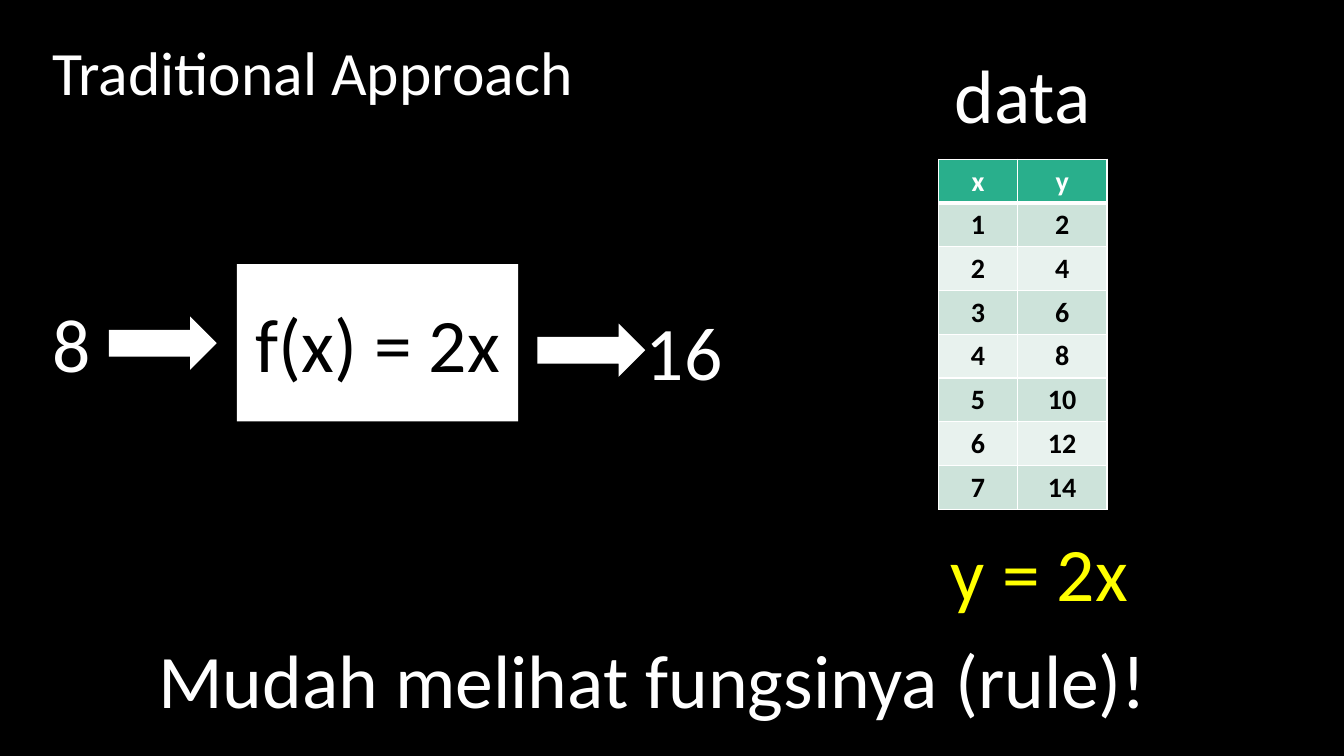
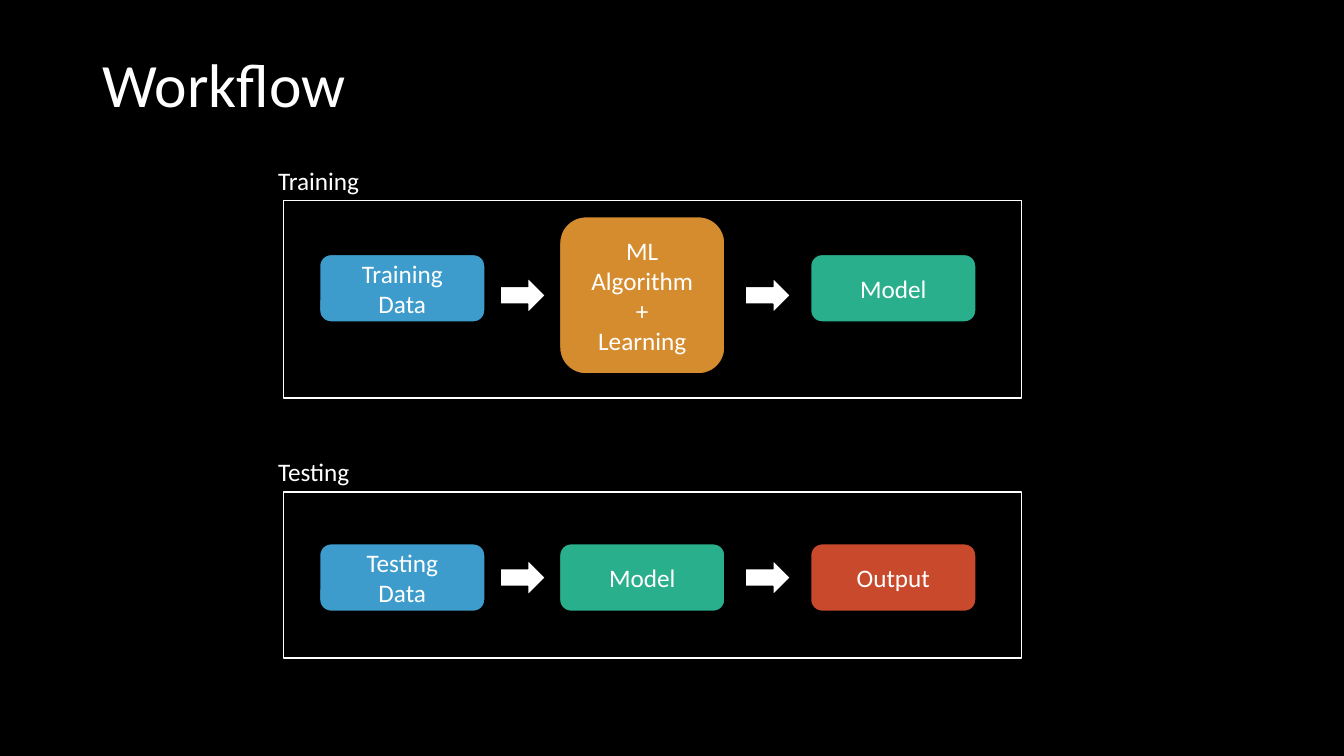
from dataclasses import dataclass

from lxml.etree import SubElement
from pptx import Presentation
from pptx.dml.color import RGBColor
from pptx.enum.shapes import MSO_SHAPE as Preset
from pptx.enum.text import MSO_ANCHOR as Anchor, PP_ALIGN as Align
from pptx.oxml.ns import qn
from pptx.util import Inches, Pt


@dataclass(frozen=True)
class Theme:
    font: str = "Calibri"
    background: str = "000000"
    ink: str = "FFFFFF"
    dark: str = "000000"
    highlight: str = "FFFF00"
    blue: str = "3D9CCC"
    orange: str = "D58C2E"
    green: str = "29AF8C"
    red: str = "C9492C"
    bands: tuple = ("CDE3DA", "E8F2EE")
    title_size: int = 44
    display_size: int = 54
    table_size: int = 20
    body_size: int = 18


@dataclass(frozen=True)
class Node:
    text: str
    colour: str
    middle: float  # distance from the top of the frame
    height: float = 0.67


THEME = Theme()


def rgb(colour):
    return RGBColor.from_string(colour)


# Shared parts
def write(text_frame, text, size, colour=THEME.ink, align=Align.CENTER, bold=False):
    text_frame.text = text
    for paragraph in text_frame.paragraphs:
        paragraph.alignment = align
        for run in paragraph.runs:
            run.font.name = THEME.font
            run.font.size = Pt(size)
            run.font.bold = bold
            run.font.color.rgb = rgb(colour)


def add_text(slide, box, text, size, colour=THEME.ink, align=Align.CENTER, wrap=False):
    text_frame = slide.shapes.add_textbox(*map(Inches, box)).text_frame
    text_frame.word_wrap = wrap
    write(text_frame, text, size, colour, align)
    return text_frame


def add_block(slide, preset, box, fill=None, line=None):
    shape = slide.shapes.add_shape(preset, *map(Inches, box))
    shape.shadow.inherit = False
    if fill:
        shape.fill.solid()
        shape.fill.fore_color.rgb = rgb(fill)
    else:
        shape.fill.background()
    if line:
        shape.line.color.rgb = rgb(line)
        shape.line.width = Pt(1)
    else:
        shape.line.fill.background()
    return shape


def add_slide(presentation, title, title_box):
    slide = presentation.slides.add_slide(presentation.slide_layouts[6])
    slide.background.fill.solid()
    slide.background.fill.fore_color.rgb = rgb(THEME.background)
    text_frame = add_text(slide, title_box, title, THEME.title_size,
                          align=Align.LEFT, wrap=True)
    text_frame.vertical_anchor = Anchor.MIDDLE
    text_frame.paragraphs[0].line_spacing = 0.9
    return slide


# Traditional approach: function machine and data table
def add_function_machine(slide, left, top):
    rule = add_block(slide, Preset.RECTANGLE, (left + 1.93, top, 2.79, 1.56), THEME.ink)
    rule.text_frame.word_wrap = False
    rule.text_frame.vertical_anchor = Anchor.MIDDLE
    write(rule.text_frame, "f(x) = 2x", THEME.display_size, THEME.dark)
    for text, x, y, width in (("8", 0, 0.28, 0.59), ("16", 5.88, 0.36, 0.97)):
        add_text(slide, (left + x, top + y, width, 1.01), text, THEME.display_size)
    for x, y in ((0.66, 0.52), (4.91, 0.59)):
        add_block(slide, Preset.RIGHT_ARROW, (left + x, top + y, 1.07, 0.53), THEME.ink)


def set_borders(cell, top=1, bottom=1):
    properties = cell._tc.get_or_add_tcPr()
    widths = {"a:lnL": 1, "a:lnR": 1, "a:lnT": top, "a:lnB": bottom}
    for index, (tag, width) in enumerate(widths.items()):
        line = SubElement(properties, qn(tag), w=str(Pt(width)))
        fill = SubElement(line, qn("a:solidFill"))
        SubElement(fill, qn("a:srgbClr"), val=THEME.ink)
        properties.insert(index, line)  # borders come before the cell fill


def add_data_table(slide, left, top):
    rows = [("x", "y")] + [(str(x), str(2 * x)) for x in range(1, 8)]
    widths, row_height = (0.78, 0.89), 0.434
    table = slide.shapes.add_table(
        len(rows), len(widths), Inches(left), Inches(top),
        Inches(sum(widths)), Inches(row_height * len(rows))).table
    table.first_row = table.horz_banding = False
    for column, width in zip(table.columns, widths):
        column.width = Inches(width)
    for row_index, values in enumerate(rows):
        header = row_index == 0
        fill = THEME.green if header else THEME.bands[(row_index - 1) % 2]
        for column_index, value in enumerate(values):
            cell = table.cell(row_index, column_index)
            cell.fill.solid()
            cell.fill.fore_color.rgb = rgb(fill)
            write(cell.text_frame, value, THEME.table_size,
                  THEME.ink if header else THEME.dark, bold=True)
            set_borders(cell, top=3 if row_index == 1 else 1, bottom=3 if header else 1)


def build_traditional_approach(presentation):
    slide = add_slide(presentation, "Traditional Approach", (0.42, 0.22, 11.5, 1.05))
    add_function_machine(slide, 0.42, 2.62)
    add_data_table(slide, 9.31, 1.58)
    for text, box, colour in (
        ("data", (9.36, 0.43, 1.56, 1.01), THEME.ink),
        ("y = 2x", (9.32, 5.17, 1.98, 1.01), THEME.highlight),
        ("Mudah melihat fungsinya (rule)!", (1.44, 6.23, 10.07, 1.01), THEME.ink),
    ):
        add_text(slide, box, text, THEME.display_size, colour)


# Workflow: one labelled frame for each phase
def add_phase(slide, box, label, nodes, arrow_middle):
    left, top = box[:2]
    add_block(slide, Preset.RECTANGLE, box, line=THEME.ink)
    add_text(slide, (left - 0.15, top - 0.4, 1.5, 0.4), label, THEME.body_size,
             align=Align.LEFT, wrap=True)
    for node, x in zip(nodes, (0.36, 2.74, 5.23)):
        node_top = top + node.middle - node.height / 2
        shape = add_block(slide, Preset.FLOWCHART_ALTERNATE_PROCESS,
                          (left + x, node_top, 1.64, node.height),
                          node.colour, THEME.dark)
        shape.text_frame.vertical_anchor = Anchor.MIDDLE
        write(shape.text_frame, node.text, THEME.body_size)
    for x in (2.15, 4.58):
        add_block(slide, Preset.RIGHT_ARROW,
                  (left + x, top + arrow_middle - 0.175, 0.45, 0.35),
                  THEME.ink, THEME.dark)


def build_workflow(presentation):
    slide = add_slide(presentation, "Workflow", (0.92, 0.14, 11.5, 1.45))
    training = (
        Node("Training\nData", THEME.blue, 0.87),
        Node("ML\nAlgorithm\n+\nLearning", THEME.orange, 0.94, 1.56),
        Node("Model", THEME.green, 0.87),
    )
    testing = (
        Node("Testing\nData", THEME.blue, 0.85),
        Node("Model", THEME.green, 0.85),
        Node("Output", THEME.red, 0.85),
    )
    add_phase(slide, (2.81, 1.99, 7.32, 1.96), "Training", training, 0.94)
    add_phase(slide, (2.81, 4.88, 7.32, 1.65), "Testing", testing, 0.85)


def main():
    presentation = Presentation()
    presentation.slide_width = Inches(13.33)
    presentation.slide_height = Inches(7.5)
    build_traditional_approach(presentation)
    build_workflow(presentation)
    presentation.save("out.pptx")


if __name__ == "__main__":
    main()
